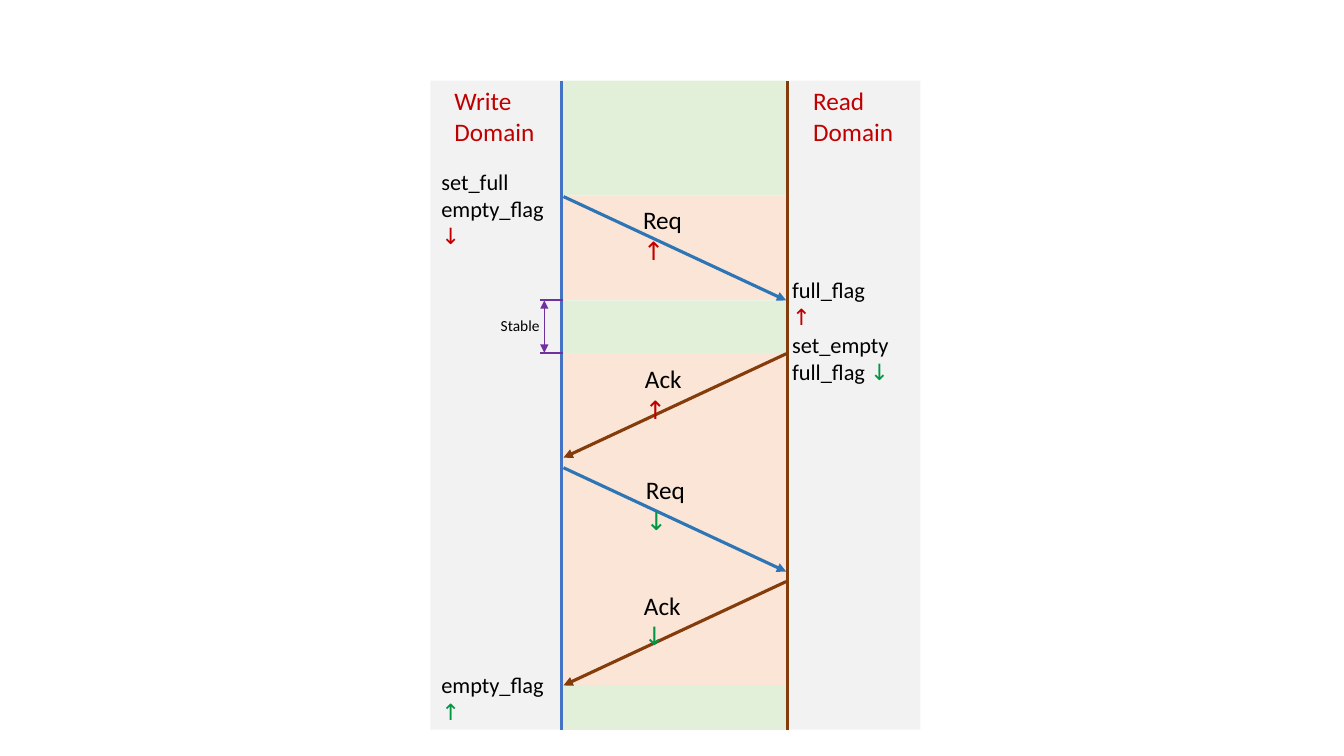
from dataclasses import dataclass
from itertools import pairwise

from lxml import etree
from pptx import Presentation
from pptx.dml.color import RGBColor
from pptx.enum.shapes import MSO_CONNECTOR, MSO_SHAPE
from pptx.enum.text import MSO_AUTO_SIZE
from pptx.oxml.ns import qn
from pptx.util import Pt

STRAIGHT = MSO_CONNECTOR.STRAIGHT
RECTANGLE = MSO_SHAPE.RECTANGLE
FIT_TEXT = MSO_AUTO_SIZE.SHAPE_TO_FIT_TEXT


@dataclass(frozen=True)
class Theme:
    domain: str = "F2F2F2"
    stable: str = "E2F0D9"
    changing: str = "FBE5D6"
    write_axis: str = "4472C4"
    req: str = "2E75B6"
    read: str = "843C0B"
    span: str = "7030A0"
    red: str = "C00000"
    green: str = "009644"
    text: str = "000000"
    font: str = "Calibri"
    symbol_font: str = "Roboto"
    large: int = 18
    medium: int = 16
    small: int = 11


THEME = Theme()
UP, DOWN = "↑", "↓"

# Shared geometry, in points
TOP, BOTTOM = 57.6, 521.3
WRITE_X, READ_X = 401, 562.3
DOMAIN_WIDTH = 93.6
BAND_EDGES = [TOP, 139.5, 214.5, 252.2, 489.4, BOTTOM]
MESSAGE_LEFT, MESSAGE_RIGHT, MESSAGE_DROP = 402.5, 561.6, 74.2


def add_band(slide, left, top, width, height, color):
    band = slide.shapes.add_shape(RECTANGLE, Pt(left), Pt(top), Pt(width), Pt(height))
    band.shadow.inherit = False
    band.fill.solid()
    band.fill.fore_color.rgb = RGBColor.from_string(color)
    band.line.fill.background()


def add_line(slide, start, end, color, weight, arrows=()):
    """arrows names the ends that carry a head: headEnd, tailEnd."""
    line = slide.shapes.add_connector(STRAIGHT, *map(Pt, (*start, *end)))
    line.line.color.rgb = RGBColor.from_string(color)
    line.line.width = Pt(weight)
    outline = line.line._get_or_add_ln()
    for arrow in arrows:
        etree.SubElement(outline, qn(f"a:{arrow}"), type="triangle")
    etree.SubElement(line._element.spPr, qn("a:effectLst"))


def add_label(slide, left, top, width, height, lines, size, color=THEME.text,
              arrow=None, arrow_color=None, wrap=True):
    """Write the lines; a signal arrow may follow the last one."""
    label = slide.shapes.add_textbox(Pt(left), Pt(top), Pt(width), Pt(height))
    frame = label.text_frame
    frame.word_wrap = wrap
    frame.auto_size = FIT_TEXT
    for index, line in enumerate(lines):
        paragraph = frame.add_paragraph() if index else frame.paragraphs[0]
        runs = [(line, THEME.font, color)]
        if arrow and index == len(lines) - 1:
            runs = [(line + " ", THEME.font, color),
                    (arrow, THEME.symbol_font, arrow_color)]
        for text, font, run_color in runs:
            run = paragraph.add_run()
            run.text = text
            run.font.name = font
            run.font.size = Pt(size)
            run.font.color.rgb = RGBColor.from_string(run_color)


def add_background(slide):
    for left in (563.8, 307.4):
        add_band(slide, left, TOP, DOMAIN_WIDTH, BOTTOM - TOP, THEME.domain)
    for index, (top, bottom) in enumerate(pairwise(BAND_EDGES)):
        color = THEME.changing if index % 2 else THEME.stable
        add_band(slide, WRITE_X, top, READ_X - WRITE_X, bottom - top, color)


def add_messages(slide):
    # name, start height, label left, label top, signal arrow, its colour
    messages = [
        ("Req", 140.4, 452.2, 142.6, UP, THEME.red),
        ("Ack", 252.7, 453.6, 256.3, UP, THEME.red),
        ("Req", 334.1, 454.3, 335.5, DOWN, THEME.green),
        ("Ack", 415.4, 452.9, 418.3, DOWN, THEME.green),
    ]
    for name, start_y, left, top, arrow, arrow_color in messages:
        source, target, color = MESSAGE_LEFT, MESSAGE_RIGHT, THEME.req
        if name == "Ack":
            source, target, color = target, source, THEME.read
        add_line(slide, (source, start_y), (target, start_y + MESSAGE_DROP),
                 color, 2.25, ["tailEnd"])
        add_label(slide, left, top, 54, 28.8, [name], THEME.large,
                  arrow=arrow, arrow_color=arrow_color)


def add_domains(slide):
    for x, color in ((WRITE_X, THEME.write_axis), (READ_X, THEME.read)):
        add_line(slide, (x, TOP), (x, BOTTOM), color, 2.25)
    for name, left in (("Read", 573.8), ("Write", 317.5)):
        add_label(slide, left, TOP, 72, 51.1, [name, "Domain"], THEME.large, THEME.red)


def add_flags(slide):
    # lines, left, top, width, height, signal arrow, its colour
    flags = [
        (["set_full", "empty_flag"], 308.2, 116.6, 100, 46, DOWN, THEME.red),
        (["set_empty", "full_flag"], 558.7, 233.3, 85, 46, DOWN, THEME.green),
        (["full_flag"], 558.7, 193.7, 78, 26.6, UP, THEME.red),
        (["empty_flag"], 308.2, 475.9, 100, 26.6, UP, THEME.green),
    ]
    for lines, left, top, width, height, arrow, arrow_color in flags:
        add_label(slide, left, top, width, height, lines, THEME.medium,
                  arrow=arrow, arrow_color=arrow_color)


def add_stable_span(slide):
    top, bottom = 214.6, 252
    add_line(slide, (388.8, top), (388.8, bottom), THEME.span, 0.5,
             ["headEnd", "tailEnd"])
    for y in (top, bottom):
        add_line(slide, (MESSAGE_LEFT, y), (385.9, y), THEME.span, 1.5)
    add_label(slide, 350.6, 222.5, 42.5, 20.9, ["Stable"], THEME.small, wrap=False)


def main():
    deck = Presentation()
    deck.slide_width, deck.slide_height = Pt(960), Pt(540)
    slide = deck.slides.add_slide(deck.slide_layouts[6])

    add_background(slide)
    add_messages(slide)
    add_domains(slide)
    add_flags(slide)
    add_stable_span(slide)

    deck.save("out.pptx")


main()
